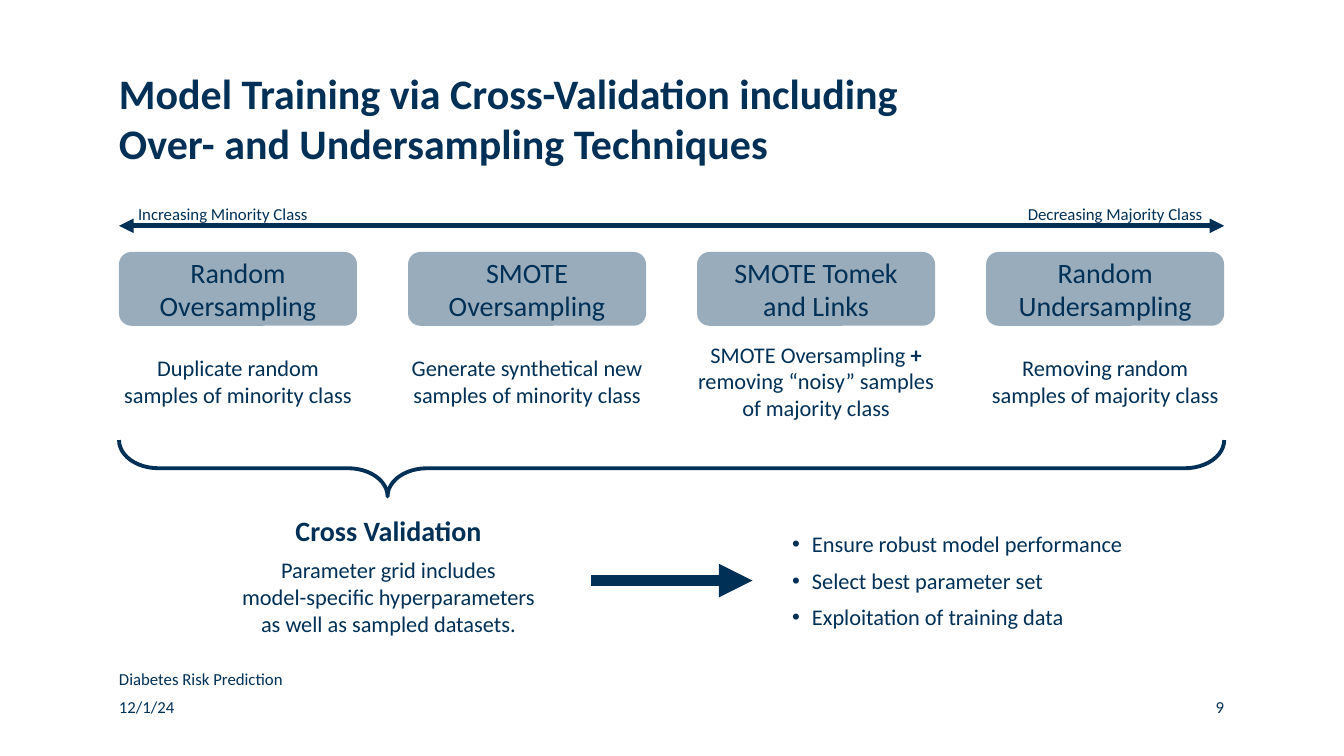
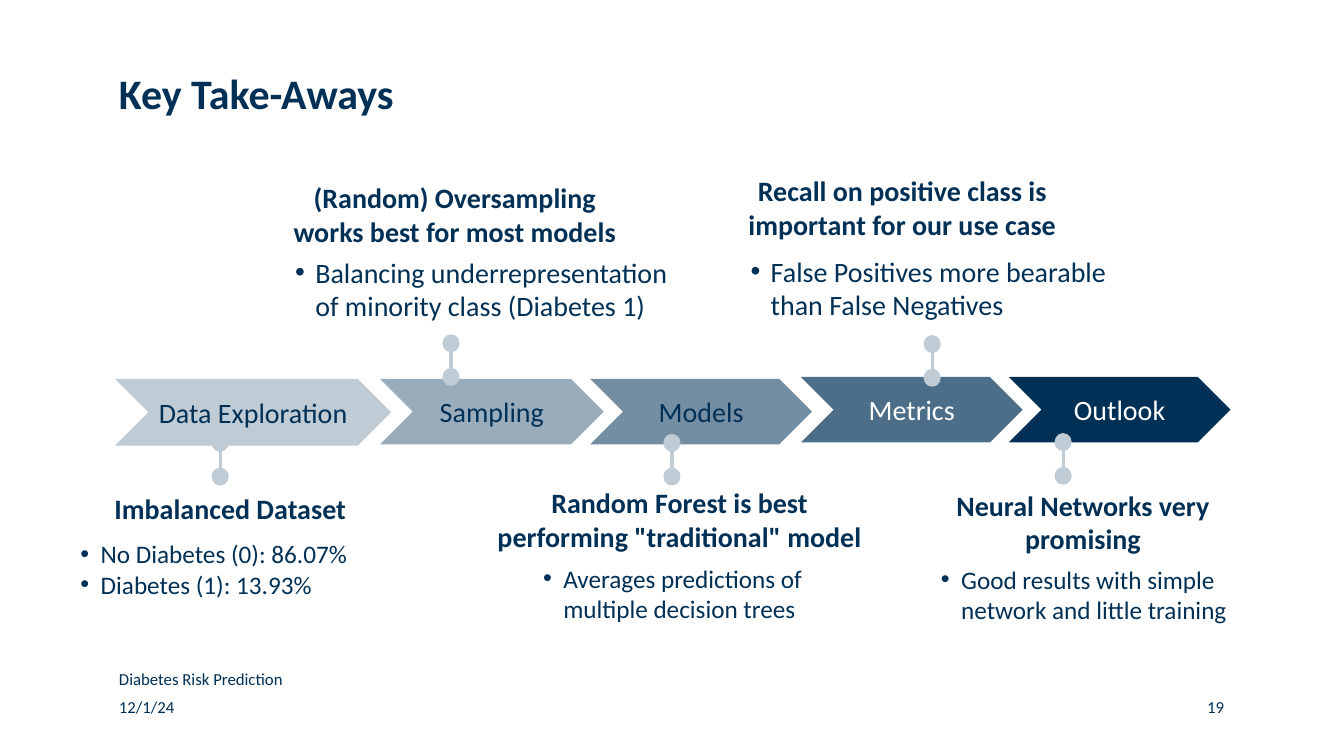
from dataclasses import dataclass

from lxml.etree import SubElement
from pptx import Presentation
from pptx.dml.color import RGBColor
from pptx.enum.shapes import MSO_CONNECTOR, MSO_SHAPE
from pptx.enum.text import MSO_ANCHOR, PP_ALIGN
from pptx.oxml.ns import qn
from pptx.shapes.autoshape import Shape
from pptx.slide import Slide
from pptx.util import Cm, Pt

COLORS = {
    "navy": "003056",
    "deep": "4C6E88",
    "steel": "738DA2",
    "mist": "99ACBB",
    "pale": "BFCBD5",
    "white": "FFFFFF",
}
FONT = "Calibri"
ALIGN = {"left": PP_ALIGN.LEFT, "center": PP_ALIGN.CENTER, "right": PP_ALIGN.RIGHT}
LEFT, WIDTH = 3.0, 27.86
RIGHT = LEFT + WIDTH


@dataclass(frozen=True)
class Box:
    """A frame in centimetres."""
    x: float
    y: float
    w: float
    h: float

    def frame(self) -> tuple[Cm, Cm, Cm, Cm]:
        return Cm(self.x), Cm(self.y), Cm(self.w), Cm(self.h)


@dataclass(frozen=True)
class Method:
    name: str
    note: str


@dataclass(frozen=True)
class Stage:
    name: str
    arrow: Box
    fill: str
    ink: str
    pin: tuple[float, float]
    head: str
    head_box: Box
    points: str
    points_box: Box
    size: int


METHODS = [
    Method("Random Oversampling", "Duplicate random samples of minority class"),
    Method("SMOTE Oversampling", "Generate synthetical new samples of minority class"),
    Method("SMOTE Tomek\nand Links",
           "SMOTE Oversampling *+* removing “noisy” samples of majority class"),
    Method("Random Undersampling", "Removing random samples of majority class"),
]

STAGES = [
    Stage("Data Exploration", Box(2.9, 9.55, 6.96, 1.68), "pale", "navy", (5.55, 10.97),
          "Imbalanced Dataset", Box(1.78, 12.22, 8.05, 1.17),
          "No Diabetes (0): 86.07%\nDiabetes (1): 13.93%", Box(1.78, 13.23, 8.05, 2.21), 18),
    Stage("Sampling", Box(9.58, 9.55, 5.64, 1.65), "mist", "navy", (11.37, 8.46),
          "(Random) Oversampling works best for most models", Box(7.39, 4.55, 8.15, 1.7),
          "Balancing underrepresentation of minority class (Diabetes 1)",
          Box(7.19, 6.25, 9.75, 2.06), 20),
    Stage("Models", Box(14.88, 9.55, 5.59, 1.65), "steel", "navy", (16.94, 10.97),
          'Random Forest is best performing "traditional" model', Box(12.34, 12.07, 9.58, 2.03),
          "Averages predictions of multiple decision trees", Box(13.44, 13.84, 8.48, 2.21), 18),
    Stage("Metrics", Box(20.19, 9.5, 5.59, 1.65), "deep", "white", (23.5, 8.48),
          "Recall on positive class is important for our use case", Box(18.67, 4.37, 8.15, 1.7),
          "False Positives more bearable than False Negatives", Box(18.67, 5.97, 9.32, 2.57), 20),
    Stage("Outlook", Box(25.43, 9.5, 5.59, 1.65), "navy", "white", (26.8, 10.95),
          "Neural Networks very promising", Box(23.06, 12.22, 8.48, 1.85),
          "Good results with simple network and little training",
          Box(23.47, 13.23, 7.66, 3.48), 18),
]


def color(name: str) -> RGBColor:
    return RGBColor.from_string(COLORS[name])


def write(shape: Shape, text: str, *, size: int = 12, ink: str = "navy", bold: bool = False,
          align: str = "left", middle: bool = False, gap: float = 0,
          bullet: tuple[float, float] | None = None) -> None:
    """Fill a shape with one paragraph a line; *stars* switch bold, bullet is (indent, hang)."""
    frame = shape.text_frame
    frame.word_wrap = True
    frame.vertical_anchor = MSO_ANCHOR.MIDDLE if middle else MSO_ANCHOR.TOP
    for row, line in enumerate(text.split("\n")):
        para = frame.paragraphs[0] if row == 0 else frame.add_paragraph()
        para.alignment = ALIGN[align]
        if row:
            para.space_before = Pt(gap)
        if bullet:
            props = para._p.get_or_add_pPr()
            props.set("marL", str(Cm(bullet[0])))
            props.set("indent", str(-Cm(bullet[1])))
            SubElement(props, qn("a:buFont"), typeface="Arial")
            SubElement(props, qn("a:buChar"), char="•")
        for part, words in enumerate(line.split("*")):
            run = para.add_run()
            run.text = words
            run.font.name = FONT
            run.font.size = Pt(size)
            run.font.bold = bold or part % 2 == 1
            run.font.color.rgb = color(ink)


def label(slide: Slide, box: Box, text: str, **style) -> None:
    """Add a text box without margins."""
    shape = slide.shapes.add_textbox(*box.frame())
    frame = shape.text_frame
    frame.margin_left = frame.margin_right = frame.margin_top = frame.margin_bottom = 0
    write(shape, text, **style)


def block(slide: Slide, kind: MSO_SHAPE, box: Box, fill: str | None = None,
          edge: str | None = None, weight: float = 2) -> Shape:
    shape = slide.shapes.add_shape(kind, *box.frame())
    shape.shadow.inherit = False
    if fill:
        shape.fill.solid()
        shape.fill.fore_color.rgb = color(fill)
    else:
        shape.fill.background()
    if edge:
        shape.line.color.rgb = color(edge)
        shape.line.width = Pt(weight)
    else:
        shape.line.fill.background()
    return shape


def rule(slide: Slide, start: tuple[float, float], end: tuple[float, float],
         ink: str, weight: float, *tips: str) -> None:
    """Draw a straight line; tips name the ends that get an arrowhead."""
    line = slide.shapes.add_connector(MSO_CONNECTOR.STRAIGHT, *map(Cm, start + end))
    line.line.color.rgb = color(ink)
    line.line.width = Pt(weight)
    for tip in tips:
        SubElement(line.line._get_or_add_ln(), qn(f"a:{tip}"), type="triangle")
    SubElement(line._element.spPr, qn("a:effectLst"))


def pin(slide: Slide, x: float, y: float) -> None:
    """Draw two dots joined by a short line, centred on x."""
    wide, high, step = 0.36, 0.38, 0.85
    rule(slide, (x, y + high), (x, y + step), "pale", 2.25)
    for top in (y, y + step):
        block(slide, MSO_SHAPE.OVAL, Box(x - wide / 2, top, wide, high), "pale", "pale")


def start(deck: Presentation, title: str, page: int) -> Slide:
    """Add a slide with the shared title and footer."""
    slide = deck.slides.add_slide(deck.slide_layouts[6])
    label(slide, Box(LEFT, 1.7, 19.94, 2.8), title, size=30, bold=True)
    label(slide, Box(LEFT, 16.84, 10.72, 0.5), "Diabetes Risk Prediction")
    label(slide, Box(LEFT, 17.55, 7.9, 0.5), "12/1/24")
    label(slide, Box(RIGHT - 3.86, 17.55, 3.86, 0.5), str(page), align="right")
    return slide


def train(deck: Presentation) -> None:
    slide = start(deck, "Model Training via Cross-Validation including "
                        "Over- and Undersampling Techniques", 9)
    rule(slide, (LEFT, 5.69), (RIGHT, 5.69), "navy", 3.5, "headEnd", "tailEnd")
    label(slide, Box(3.48, 5.13, 5.05, 0.5), "Increasing Minority Class")
    label(slide, Box(25.91, 5.13, 4.7, 0.5), "Decreasing Majority Class")

    wide = 6.0
    step = (WIDTH - wide) / (len(METHODS) - 1)
    for col, method in enumerate(METHODS):
        x = LEFT + col * step
        tile = block(slide, MSO_SHAPE.ROUNDED_RECTANGLE, Box(x, 6.35, wide, 1.86), "mist")
        write(tile, method.name, size=20, align="center", middle=True)
        label(slide, Box(x, 8.56, wide, 2.08), method.note,
              size=16, align="center", middle=True)

    depth, mid = 1.42, 11.8
    brace = block(slide, MSO_SHAPE.RIGHT_BRACE,
                  Box(LEFT + (WIDTH - depth) / 2, mid - WIDTH / 2, depth, WIDTH),
                  edge="navy", weight=2.75)
    brace.rotation = 90
    brace.adjustments[0], brace.adjustments[1] = 0.7, 0.757

    label(slide, Box(4.7, 12.95, 10.19, 0.86), "Cross Validation",
          size=20, bold=True, align="center")
    label(slide, Box(4.7, 14.02, 10.19, 2.28),
          "Parameter grid includes\nmodel-specific hyperparameters\nas well as sampled datasets.",
          size=16, align="center")
    rule(slide, (14.91, 14.63), (18.97, 14.63), "navy", 8, "tailEnd")
    label(slide, Box(18.97, 12.95, 10.19, 3.35),
          "Ensure robust model performance\nSelect best parameter set\n"
          "Exploitation of training data",
          size=16, middle=True, gap=7, bullet=(1.5, 0.5))


def recap(deck: Presentation) -> None:
    slide = start(deck, "Key Take-Aways", 19)
    for stage in STAGES:
        arrow = block(slide, MSO_SHAPE.CHEVRON, stage.arrow, stage.fill)
        write(arrow, stage.name, size=20, ink=stage.ink, align="center", middle=True)
        label(slide, stage.head_box, stage.head,
              size=20, bold=True, align="center", middle=True)
        label(slide, stage.points_box, stage.points,
              size=stage.size, middle=True, bullet=(0.76, 0.51))
    for stage in STAGES:
        pin(slide, *stage.pin)


def main() -> None:
    deck = Presentation()
    deck.slide_width, deck.slide_height = Cm(33.88), Cm(19.05)
    train(deck)
    recap(deck)
    deck.save("out.pptx")


if __name__ == "__main__":
    main()
